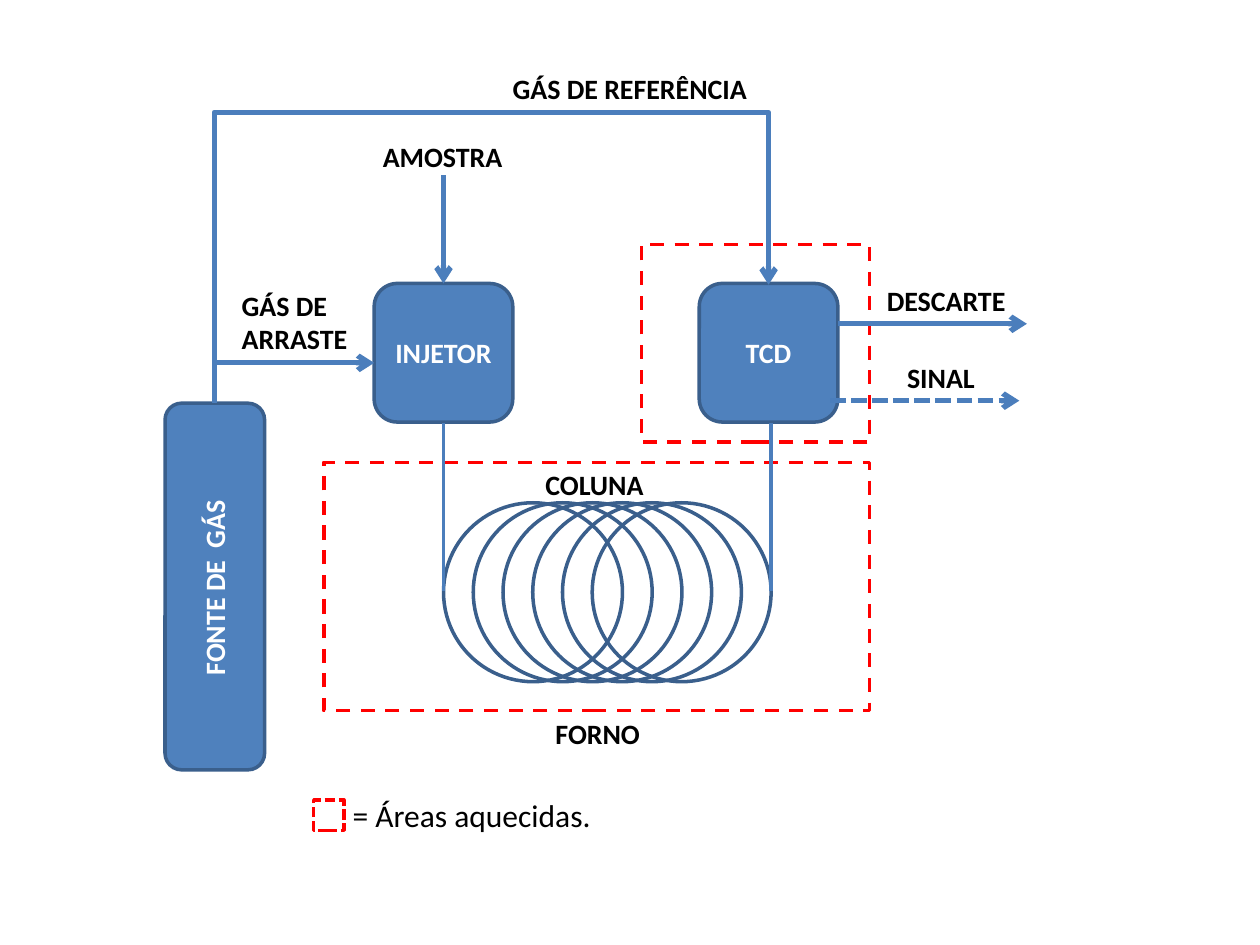
from lxml.etree import SubElement
from pptx import Presentation
from pptx.dml.color import RGBColor
from pptx.enum.dml import MSO_LINE as Dash
from pptx.enum.shapes import MSO_CONNECTOR as Connector, MSO_SHAPE as Shape
from pptx.enum.text import MSO_ANCHOR as Anchor, MSO_AUTO_SIZE as AutoSize, PP_ALIGN as Align
from pptx.oxml.ns import qn
from pptx.util import Inches, Pt

COLORS = {
    "fill": "4F81BD",
    "outline": "3A5F8C",
    "flow": "4B7EBC",
    "heated": "FF0000",
    "light": "FFFFFF",
    "dark": "000000",
}


def color(name):
    return RGBColor.from_string(COLORS[name])


def write(box, text, ink="dark", size=16, bold=True, align=Align.LEFT):
    """Fill a shape or text box with one paragraph per line of text."""
    frame = box.text_frame
    frame.text = text
    for para in frame.paragraphs:
        para.alignment = align
        para.font.name = "Calibri"
        para.font.size = Pt(size)
        para.font.bold = bold
        para.font.color.rgb = color(ink)


deck = Presentation()
deck.slide_width, deck.slide_height = Inches(10), Inches(7.5)
page = deck.slides.add_slide(deck.slide_layouts[6])
shapes = page.shapes

# Equipment blocks, column coils and heated areas
blocks = [
    (5.55, 2.25, 1.1, 1.1, "TCD"),
    (2.97, 2.25, 1.1, 1.1, "INJETOR"),
    (1.31, 3.2, 0.79, 2.91, ""),
]
outlines = [(Shape.ROUNDED_RECTANGLE, *block, "outline", None) for block in blocks]
outlines += [
    (Shape.OVAL, 3.52 + 0.236 * turn, 3.99, 1.42, 1.42, "", "outline", None)
    for turn in range(6)
]
outlines += [
    (Shape.RECTANGLE, 2.57, 3.67, 4.33, 1.97, "", "heated", Dash.DASH),
    (Shape.RECTANGLE, 5.09, 1.94, 1.81, 1.57, "", "heated", Dash.DASH),
    (Shape.RECTANGLE, 2.49, 6.35, 0.24, 0.24, "", "heated", Dash.SQUARE_DOT),
]
for kind, left, top, width, height, text, line, dash in outlines:
    shape = shapes.add_shape(kind, Inches(left), Inches(top), Inches(width), Inches(height))
    shape.shadow.inherit = False
    if kind == Shape.ROUNDED_RECTANGLE:
        shape.fill.solid()
        shape.fill.fore_color.rgb = color("fill")
    else:
        shape.fill.background()
    shape.line.color.rgb = color(line)
    shape.line.width = Pt(2)
    if dash:
        shape.line.dash_style = dash
    if text:
        frame = shape.text_frame
        frame.word_wrap = False
        frame.vertical_anchor = Anchor.MIDDLE
        write(shape, text, "light", align=Align.CENTER)

# Gas, sample and signal lines; those 3 pt wide carry an arrowhead
flows = [
    (Connector.STRAIGHT, 1.71, 2.88, 2.97, 2.88, 3, None),
    (Connector.STRAIGHT, 3.52, 1.39, 3.52, 2.25, 3, None),
    (Connector.STRAIGHT, 3.52, 3.36, 3.52, 4.69, 2, None),
    (Connector.STRAIGHT, 6.12, 3.36, 6.12, 4.69, 2, None),
    (Connector.STRAIGHT, 6.65, 2.57, 8.15, 2.57, 3, None),
    (Connector.STRAIGHT, 6.59, 3.18, 8.09, 3.18, 3, Dash.SQUARE_DOT),
    (Connector.ELBOW, 4.37, 4.93, 3.43, 0.53, 3, None),
]
for kind, x1, y1, x2, y2, width, dash in flows:
    flow = shapes.add_connector(kind, Inches(x1), Inches(y1), Inches(x2), Inches(y2))
    flow.line.color.rgb = color("flow")
    flow.line.width = Pt(width)
    if dash:
        flow.line.dash_style = dash
    properties = flow._element.spPr
    if width == 3:
        SubElement(properties.find(qn("a:ln")), qn("a:tailEnd"), type="arrow")
    SubElement(properties, qn("a:effectLst"))
    if kind == Connector.ELBOW:
        # A quarter turn makes the reference line leave upwards and come back down
        properties.find(qn("a:xfrm")).set("rot", str(90 * 60000))
        guides = properties.find(qn("a:prstGeom")).find(qn("a:avLst"))
        SubElement(guides, qn("a:gd"), name="adj1", fmla="val 245500")

# Labels
labels = [
    (4.23, 3.66, 0.99, 0.37, "COLUNA", {}),
    (2.94, 1.06, 1.17, 0.37, "AMOSTRA", {}),
    (3.97, 0.52, 2.09, 0.37, "GÁS DE REFERÊNCIA", {}),
    (1.82, 2.24, 1.05, 0.64, "GÁS DE\nARRASTE", {}),
    (4.31, 5.64, 0.88, 0.37, "FORNO", {}),
    (6.94, 2.2, 1.16, 0.37, "DESCARTE", {}),
    (7.1, 2.81, 0.75, 0.37, "SINAL", {}),
    (2.7, 6.27, 2.11, 0.4, "= Áreas aquecidas.", {"size": 18, "bold": False}),
    (0.87, 4.48, 1.66, 0.37, "FONTE DE  GÁS", {"ink": "light", "align": Align.CENTER}),
]
for left, top, width, height, text, style in labels:
    box = shapes.add_textbox(Inches(left), Inches(top), Inches(width), Inches(height))
    box.text_frame.word_wrap = False
    box.text_frame.auto_size = AutoSize.SHAPE_TO_FIT_TEXT
    write(box, text, **style)
box.rotation = 270  # the gas source label, last in the list, reads upwards

deck.save("out.pptx")
